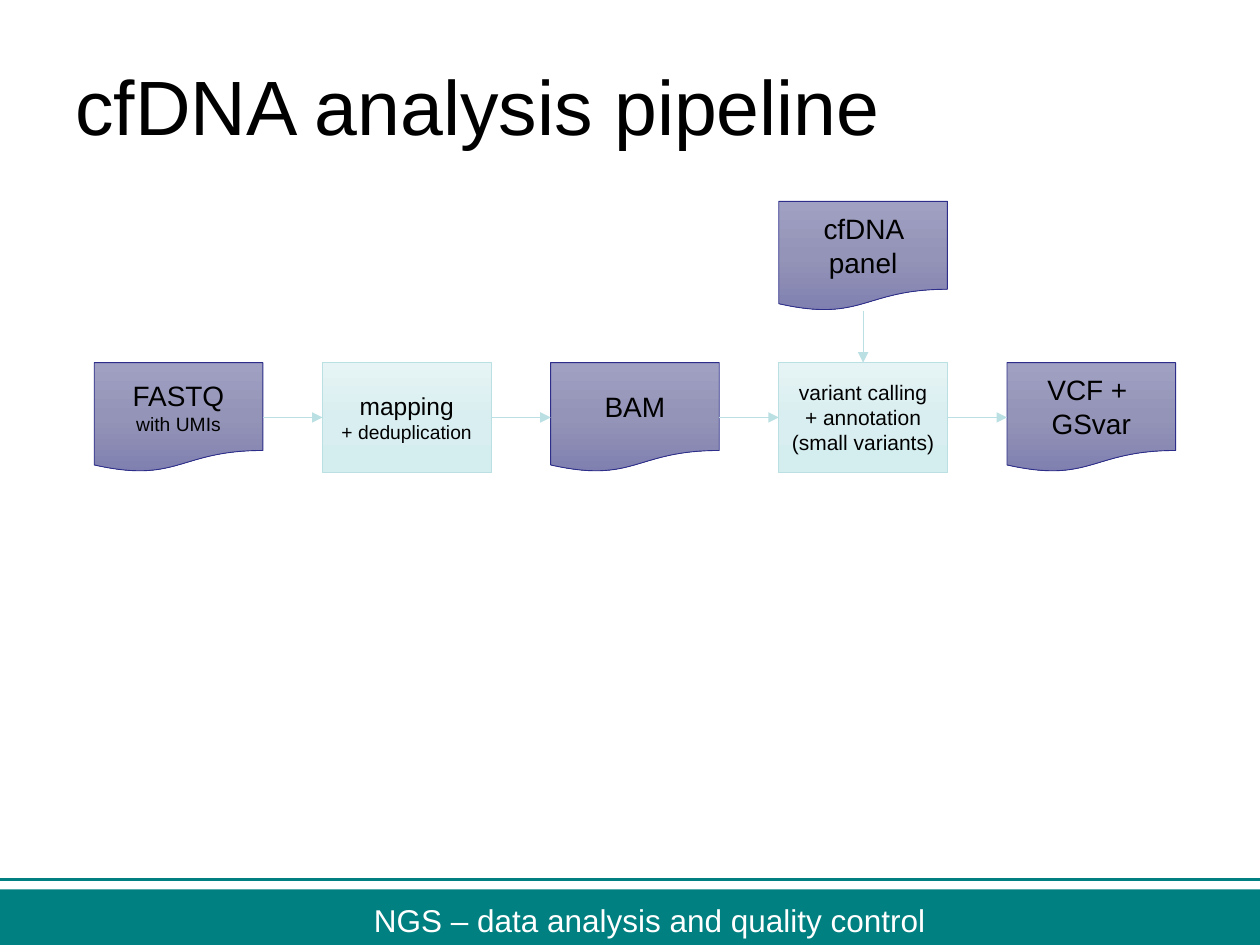
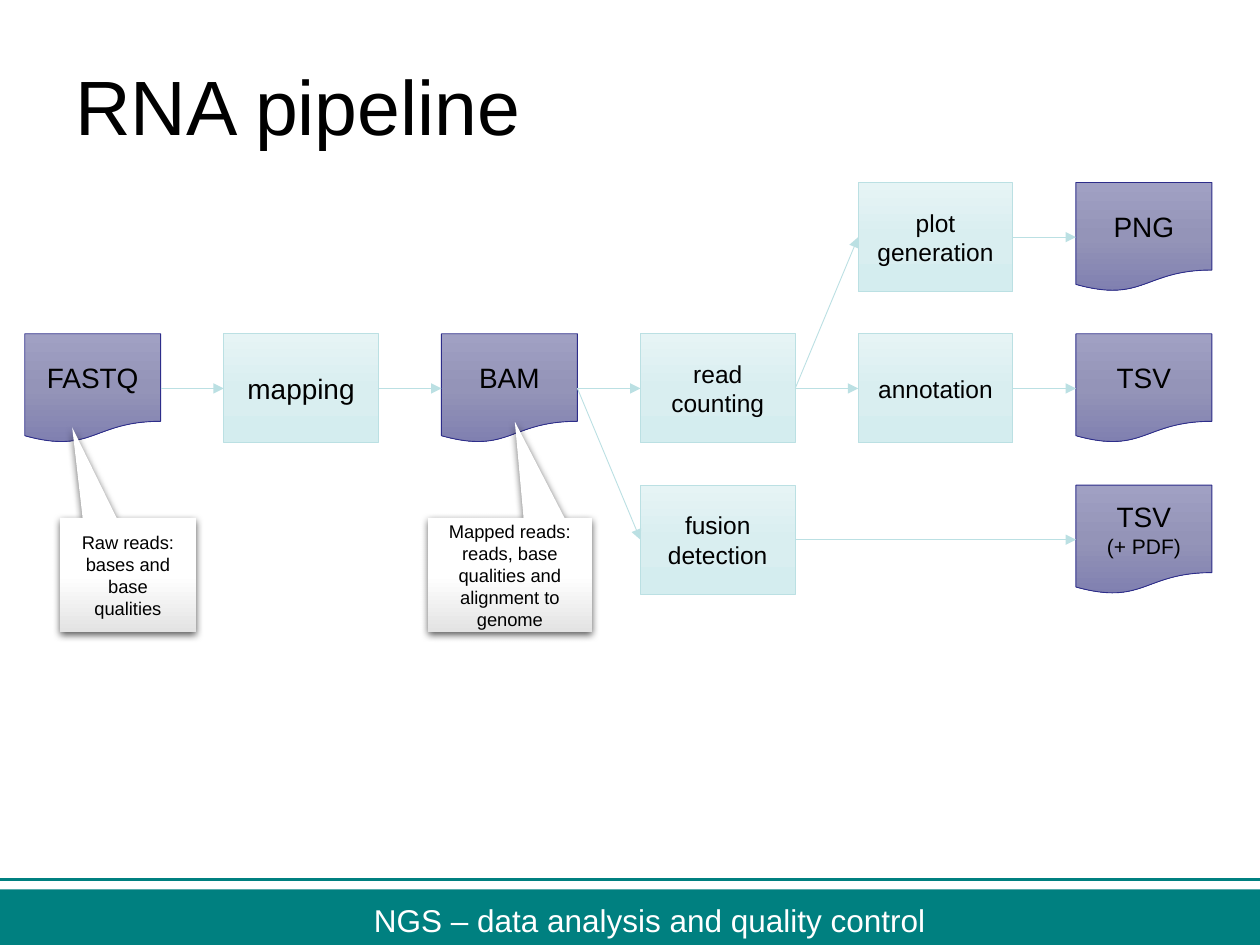
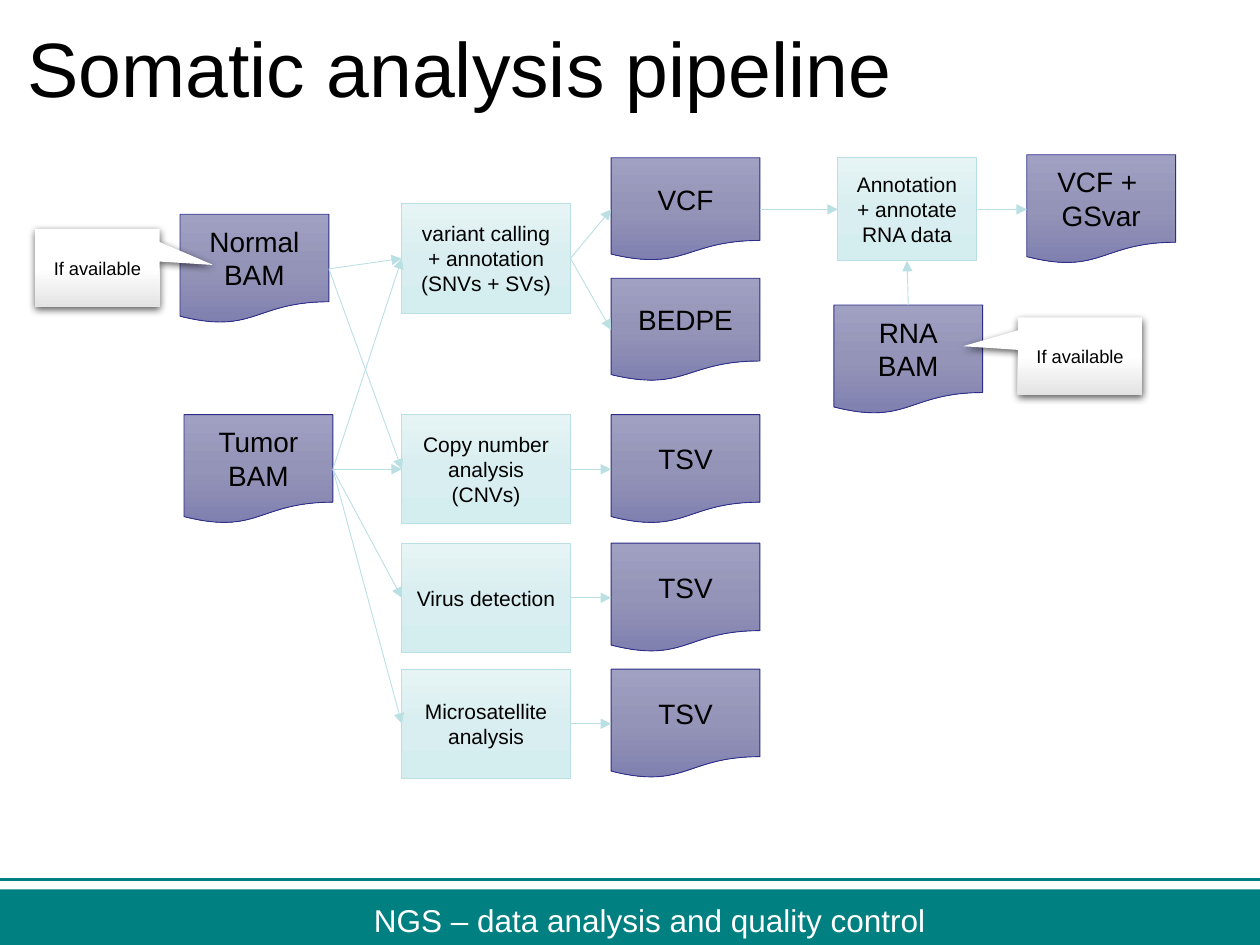
import pptx
import pptx.util
import pptx.dml.color
import pptx.enum.shapes
import pptx.enum.text
import pptx.oxml.ns
import lxml.etree

Cm = pptx.util.Cm
Pt = pptx.util.Pt
qn = pptx.oxml.ns.qn
SHAPE = pptx.enum.shapes.MSO_SHAPE
CONNECTOR = pptx.enum.shapes.MSO_CONNECTOR
ALIGN = pptx.enum.text.PP_ALIGN
ANCHOR = pptx.enum.text.MSO_ANCHOR

FONT = "Arial"
TEAL, WHITE, BLACK, PALE = "008080", "FFFFFF", "000000", "BBE0E3"
STYLES = {
    "file": {"shape": SHAPE.FLOWCHART_DOCUMENT, "size": 16, "line": "2D2D8A",
             "stops": ("A0A0C3", "9494B8", "8080B0")},
    "step": {"shape": SHAPE.FLOWCHART_PROCESS, "size": 12, "line": PALE,
             "stops": ("E6F4F5", "D9EEF0", "D4EDEF")},
    "note": {"shape": SHAPE.RECTANGULAR_CALLOUT, "size": 10.5, "line": None,
             "stops": (WHITE, WHITE, "E3E3E3")},
}
TOP, LEFT, BOTTOM, RIGHT = range(4)


def rgb(value):
    """Return the colour for a hex string."""
    return pptx.dml.color.RGBColor.from_string(value)


def style_font(font, size, color=BLACK):
    """Apply the deck font to a run or paragraph font."""
    for name, value in {"name": FONT, "size": Pt(size)}.items():
        setattr(font, name, value)
    font.color.rgb = rgb(color)


def add_effects(sp):
    """Add an empty effect list, which turns off the theme shadow."""
    return lxml.etree.SubElement(sp._element.spPr, qn("a:effectLst"))


def add_drop_shadow(sp):
    """Give a shape a soft shadow below it."""
    sp.shadow.inherit = False
    effects = sp._element.spPr.find(qn("a:effectLst"))
    shadow = lxml.etree.SubElement(effects, qn("a:outerShdw"), blurRad=str(Pt(4.5)),
                                   dist=str(Pt(1.5)), dir="5400000", rotWithShape="0")
    color = lxml.etree.SubElement(shadow, qn("a:srgbClr"), val=BLACK)
    lxml.etree.SubElement(color, qn("a:alpha"), val="63000")


def fill_gradient(sp, colors):
    """Fill a shape from top to bottom with evenly spaced colours."""
    sp.fill.gradient()
    sp.fill.gradient_angle = 270
    stops = sp._element.spPr.find(qn("a:gradFill")).find(qn("a:gsLst"))
    for stop in list(stops):
        stops.remove(stop)
    for i, color in enumerate(colors):
        stop = lxml.etree.SubElement(stops, qn("a:gs"), pos=str(100000 * i // (len(colors) - 1)))
        lxml.etree.SubElement(stop, qn("a:srgbClr"), val=color)


def write_label(tf, label, size, small):
    """Write centred lines: a newline starts a paragraph, a vertical tab breaks a line."""
    tf.word_wrap = True
    tf.vertical_anchor = ANCHOR.MIDDLE
    first = True
    for i, text in enumerate(label.split("\n")):
        p = tf.add_paragraph() if i else tf.paragraphs[0]
        p.alignment = ALIGN.CENTER
        for j, line in enumerate(text.split("\v")):
            if j:
                p.add_line_break()
            r = p.add_run()
            r.text = line
            style_font(r.font, size if first else small or size)
            first = False


def add_node(s, kind, label, x, y, w, h, size=None, small=None):
    """Draw a file, step or note box in centimetres."""
    style = STYLES[kind]
    sp = s.shapes.add_shape(style["shape"], Cm(x), Cm(y), Cm(w), Cm(h))
    fill_gradient(sp, style["stops"])
    if style["line"]:
        sp.line.color.rgb = rgb(style["line"])
        sp.line.width = Pt(0.5)
        sp.shadow.inherit = False
    else:
        sp.line.fill.background()
        add_drop_shadow(sp)
    write_label(sp.text_frame, label, size or style["size"], small)
    return sp


def add_note(s, label, x, y, w, h, tip):
    """Draw a callout whose tip is given as shares of its size from its centre."""
    sp = add_node(s, "note", label, x, y, w, h)
    for i, value in enumerate(tip):
        sp.adjustments[i] = value


def add_rule(s, color, width, points=(0, 0, 0, 0)):
    """Draw a plain straight line."""
    sp = s.shapes.add_connector(CONNECTOR.STRAIGHT, *[Cm(v) for v in points])
    sp.line.color.rgb = rgb(color)
    sp.line.width = Pt(width)
    return sp


def add_arrow(s, start, end, sides=(RIGHT, LEFT)):
    """Join two boxes with an arrow."""
    sp = add_rule(s, PALE, 0.5)
    sp.begin_connect(start, sides[0])
    sp.end_connect(end, sides[1])
    lxml.etree.SubElement(sp.line._get_or_add_ln(), qn("a:tailEnd"), type="triangle")
    add_effects(sp)


def add_text(s, text, box, size, color, wrap):
    """Write one line of left-aligned text in a box."""
    sp = s.shapes.add_textbox(*[Cm(v) for v in box])
    tf = sp.text_frame
    tf.word_wrap = wrap
    r = tf.paragraphs[0].add_run()
    r.text = text
    style_font(r.font, size, color)
    return tf


def add_footer(s, top):
    """Draw the rule, the band and the course name."""
    band = s.shapes.add_shape(SHAPE.RECTANGLE, 0, Cm(top + 0.2), Cm(25.4), Cm(1.12))
    band.shadow.inherit = False
    band.fill.solid()
    band.fill.fore_color.rgb = rgb(TEAL)
    band.line.fill.background()
    add_effects(add_rule(s, TEAL, 2.25, (0, top, 25.4, top)))
    tf = add_text(s, "NGS – data analysis and quality control", (7.29, top + 0.3, 11.73, 1.02),
                  18, WHITE, False)
    tf.auto_size = pptx.enum.text.MSO_AUTO_SIZE.SHAPE_TO_FIT_TEXT


def add_slide(prs, title, box):
    """Add a slide with the footer and its title."""
    s = prs.slides.add_slide(prs.slide_layouts[6])
    add_footer(s, 17.73)
    add_text(s, title, box, 44, BLACK, True).margin_top = Cm(0.42)
    return s


def draw_cfdna(s, left, top):
    """Draw the cfDNA chain with its panel above the calling step."""
    w, h, pitch, drop = 3.4, 2.21, 4.6, 3.25
    chain = [
        ("file", "FASTQ\vwith UMIs", 16, 11),
        ("step", "mapping\v+ deduplication", 14, 11),
        ("file", "BAM", 16, None),
        ("step", "variant calling\v+ annotation\v(small variants)", 12, None),
        ("file", "VCF + \nGSvar", 16, None),
    ]
    nodes = [add_node(s, kind, label, left + i * pitch, top + drop, w, h, size, small)
             for i, (kind, label, size, small) in enumerate(chain)]
    panel = add_node(s, "file", "cfDNA panel", left + 3 * pitch, top, w, h)
    for start, end in zip(nodes, nodes[1:]):
        add_arrow(s, start, end)
    add_arrow(s, panel, nodes[3], (BOTTOM, TOP))


def draw_rna(s, left, top):
    """Draw the RNA flow on three rows and its two notes."""
    widths = {"file": 2.74, "step": 3.12}
    h, gap, pitch = 2.2, 1.27, 3.05
    columns = ["file", "step", "file", "step", "step", "file"]
    lefts = [left + sum(widths[kind] + gap for kind in columns[:i]) for i in range(len(columns))]
    cells = {
        "fastq": (0, 1, "FASTQ", 16),
        "mapping": (1, 1, "mapping", 16),
        "bam": (2, 1, "BAM", 16),
        "counting": (3, 1, "read counting", 14),
        "annotation": (4, 1, "annotation", 14),
        "table": (5, 1, "TSV", 16),
        "plot": (4, 0, "plot generation", 14),
        "image": (5, 0, "PNG", 16),
        "fusion": (3, 2, "fusion detection", 14),
        "report": (5, 2, "TSV\n(+ PDF)", 16),
    }
    nodes = {name: add_node(s, columns[col], label, lefts[col], top + row * pitch,
                            widths[columns[col]], h, size, 12)
             for name, (col, row, label, size) in cells.items()}
    for start, end in [("fastq", "mapping"), ("mapping", "bam"), ("bam", "counting"),
                       ("counting", "annotation"), ("annotation", "table"),
                       ("counting", "plot"), ("plot", "image"),
                       ("bam", "fusion"), ("fusion", "report")]:
        add_arrow(s, nodes[start], nodes[end])
    note_top = top + 6.76
    add_note(s, "Raw reads: bases and base qualities",
             left + 0.71, note_top, 2.74, 2.31, (-0.41, -1.29))
    add_note(s, "Mapped reads: reads, base qualities and alignment to genome",
             left + 8.13, note_top, 3.3, 2.31, (0.03, -1.34))


def draw_somatic(s, left, top):
    """Draw the somatic flow from two BAM files to its result files."""
    step_x, result_x, file_w, step_w, h, low_h = 7.39, 11.61, 3, 3.4, 2.2, 2.08
    rows = (5.24, 7.83, 10.37)
    cells = {
        "normal": ("file", "Normal\nBAM", 2.92, 1.2, file_w, h),
        "tumor": ("file", "Tumor\nBAM", 3, rows[0], file_w, h),
        "calling": ("step", "variant calling\n+ annotation\n(SNVs + SVs)", step_x, 0.99, step_w, h),
        "vcf": ("file", "VCF", result_x, 0.06, file_w, low_h),
        "bedpe": ("file", "BEDPE", result_x, 2.49, file_w, low_h),
        "annotate": ("step", "Annotation + annotate RNA data", 16.18, 0.06, 2.79, low_h),
        "gsvar": ("file", "VCF + \nGSvar", 19.99, 0, file_w, h),
        "rna": ("file", "RNA\nBAM", 16.1, 3.03, file_w, h),
    }
    analyses = ("Copy number analysis\n(CNVs)", "Virus detection", "Microsatellite analysis")
    for label, y in zip(analyses, rows):
        cells[label] = ("step", label, step_x, y, step_w, h)
        cells[label, "result"] = ("file", "TSV", result_x, y, file_w, h)
    nodes = {name: add_node(s, kind, label, left + x, top + y, w, height)
             for name, (kind, label, x, y, w, height) in cells.items()}
    links = [("normal", "calling"), ("normal", analyses[0]), ("tumor", "calling"),
             ("calling", "vcf"), ("calling", "bedpe"), ("vcf", "annotate"), ("annotate", "gsvar")]
    for label in analyses:
        links += [("tumor", label), (label, (label, "result"))]
    for start, end in links:
        add_arrow(s, nodes[start], nodes[end])
    add_arrow(s, nodes["rna"], nodes["annotate"], (TOP, BOTTOM))
    for x, y, tip in [(0, 1.5, (0.93, -0.04)), (19.81, 3.28, (-0.94, -0.13))]:
        add_note(s, "If available", left + x, top + y, 2.51, 1.57, tip)


def main():
    """Build and save the three slides."""
    prs = pptx.Presentation()
    prs.slide_width, prs.slide_height = Cm(25.4), Cm(19.05)
    title_box = (1.27, 0.76, 22.86, 3.18)
    draw_cfdna(add_slide(prs, "cfDNA analysis pipeline", title_box), 1.9, 4.06)
    draw_rna(add_slide(prs, "RNA pipeline", title_box), 0.5, 3.68)
    draw_somatic(add_slide(prs, "Somatic analysis pipeline", (0.3, 0, 25.1, 2.31)), 0.71, 3.12)
    prs.save("out.pptx")


main()
